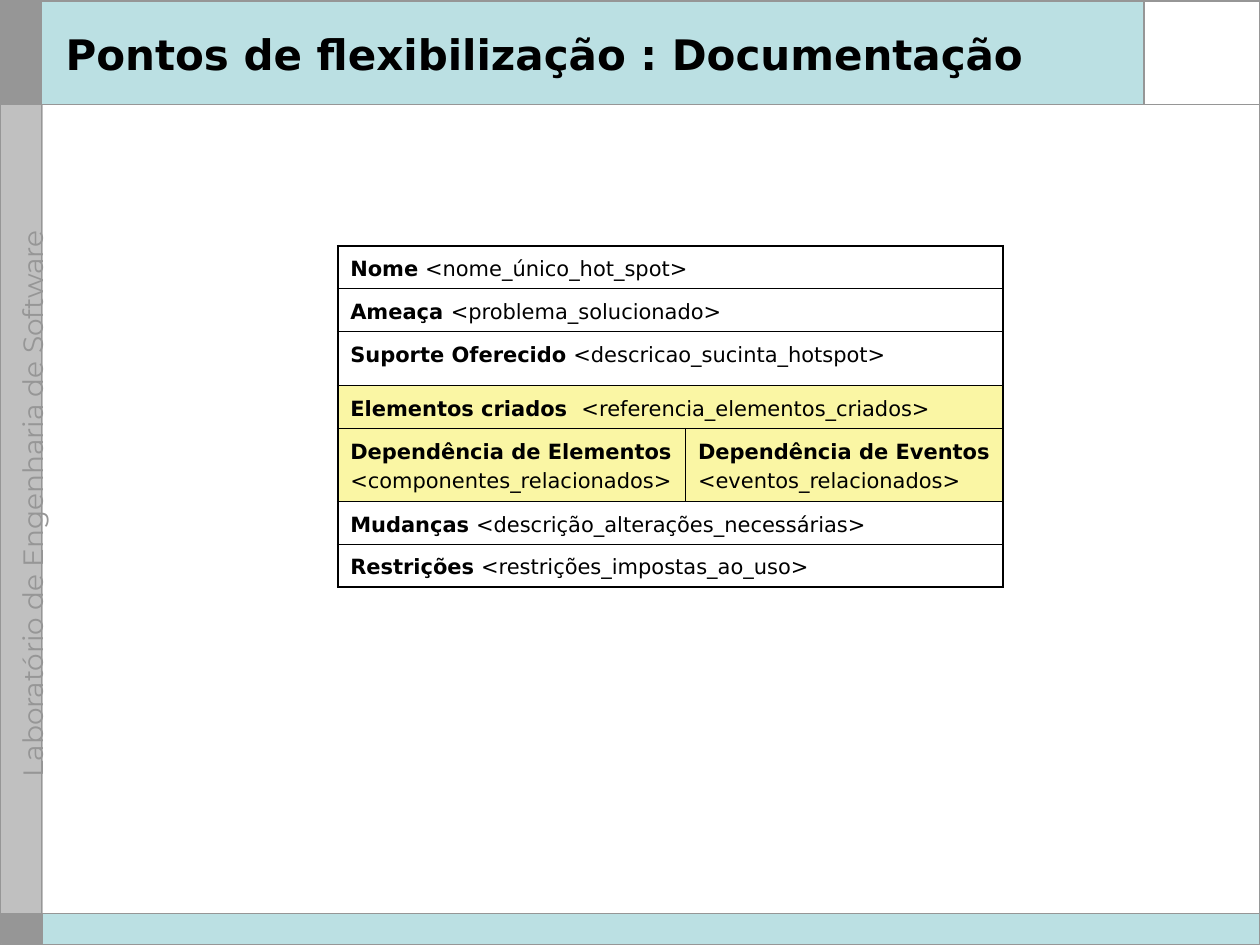
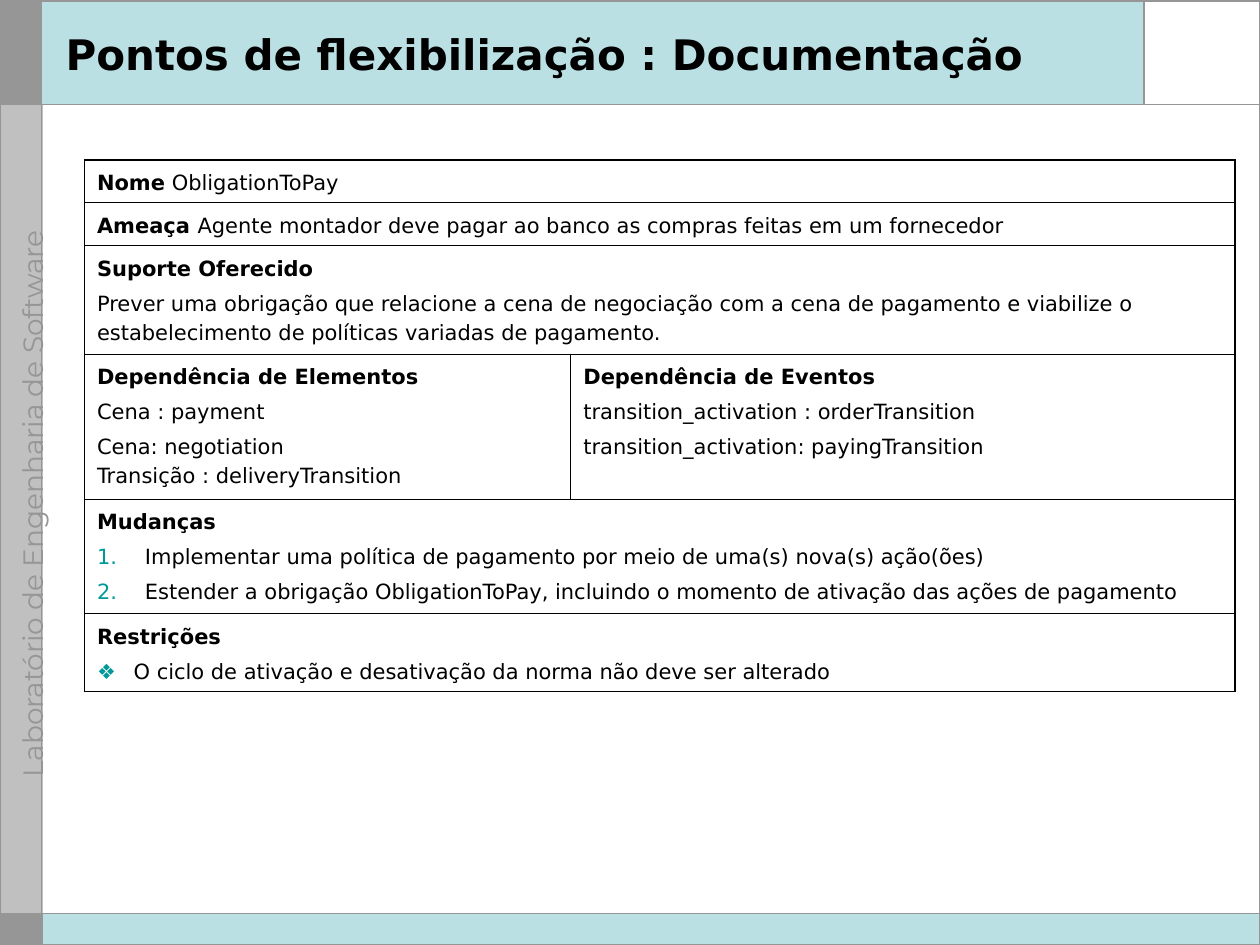
from dataclasses import dataclass

from lxml.etree import SubElement
from pptx import Presentation
from pptx.dml.color import RGBColor
from pptx.enum.shapes import MSO_CONNECTOR, MSO_SHAPE
from pptx.enum.text import MSO_ANCHOR, MSO_AUTO_SIZE, PP_ALIGN
from pptx.oxml.ns import qn
from pptx.util import Inches, Pt

FONT = "DejaVu Sans"
SIDE_FONT = "Montserrat"
BLACK = "000000"
WHITE = "FFFFFF"
GREY = "969696"
LIGHT_GREY = "C0C0C0"
AQUA = "BBE0E3"
TEAL = "009999"
YELLOW = "FAF6A4"

PAGE_WIDTH, PAGE_HEIGHT = 10, 7.5
SIDE_WIDTH = 0.33
HEADER_HEIGHT = 0.83
FOOTER_TOP = 7.25
CORNER_LEFT = 9.08
OUTER, INNER = 1.08, 0.45
NO_STYLE = "{2D5ABB26-0587-4C30-8999-92F81FD0307C}"
TITLE = "Pontos de flexibilização : Documentação"
SIDE_TEXT = "Laboratório de Engenharia de Software"


@dataclass
class Band:
    left: float
    top: float
    width: float
    height: float
    fill: str | None
    line: str | None = None
    weight: float = 0.75


@dataclass
class Rule:
    start: tuple[float, float]
    end: tuple[float, float]


@dataclass
class Para:
    label: str = ""
    text: str = ""
    bullet: str = ""
    indent: float = 0


@dataclass
class Row:
    height: float
    cells: list[list[Para]]
    fill: str | None = None


@dataclass
class Sheet:
    left: float
    top: float
    columns: tuple[float, float]
    rows: list[Row]


BANDS = [
    Band(0.01, 0.01, SIDE_WIDTH, HEADER_HEIGHT, GREY, GREY),
    Band(SIDE_WIDTH, 0, PAGE_WIDTH - SIDE_WIDTH, HEADER_HEIGHT, AQUA),
    Band(0.01, HEADER_HEIGHT, SIDE_WIDTH, FOOTER_TOP - HEADER_HEIGHT, LIGHT_GREY, LIGHT_GREY),
    Band(CORNER_LEFT, 0, PAGE_WIDTH - CORNER_LEFT, HEADER_HEIGHT, WHITE),
    Band(SIDE_WIDTH, FOOTER_TOP, PAGE_WIDTH - SIDE_WIDTH, 0.25, AQUA),
    Band(0.01, FOOTER_TOP, SIDE_WIDTH, 0.24, GREY, GREY),
]
OUTLINE = Band(0, 0.01, PAGE_WIDTH, 7.49, None, GREY, 1)
RULES = [
    Rule((CORNER_LEFT, 0), (CORNER_LEFT, HEADER_HEIGHT)),
    Rule((0, HEADER_HEIGHT), (PAGE_WIDTH, HEADER_HEIGHT)),
    Rule((SIDE_WIDTH, 0), (SIDE_WIDTH, PAGE_HEIGHT)),
    Rule((0, FOOTER_TOP), (PAGE_WIDTH, FOOTER_TOP)),
]

TEMPLATE_SHEET = Sheet(2.68, 1.95, (2.76, 2.52), [
    Row(0.34, [[Para("Nome", " <nome_único_hot_spot>")]]),
    Row(0.34, [[Para("Ameaça ", "<problema_solucionado>")]]),
    Row(0.43, [[Para("Suporte Oferecido", " <descricao_sucinta_hotspot>")]]),
    Row(0.34, [[Para("Elementos criados ", " <referencia_elementos_criados>")]], YELLOW),
    Row(0.58, [
        [Para("Dependência de Elementos ", "<componentes_relacionados>")],
        [Para("Dependência de Eventos ", "<eventos_relacionados>")],
    ], YELLOW),
    Row(0.34, [[Para("Mudanças", " <descrição_alterações_necessárias>")]]),
    Row(0.34, [[Para("Restrições", " <restrições_impostas_ao_uso>")]]),
])

PAYMENT_SHEET = Sheet(0.67, 1.27, (3.86, 5.27), [
    Row(0.34, [[Para("Nome", " ObligationToPay")]]),
    Row(0.34, [[Para("Ameaça ", "Agente montador deve pagar ao banco as compras feitas em um fornecedor")]]),
    Row(0.86, [[
        Para("Suporte Oferecido"),
        Para(text="Prever uma obrigação que relacione a cena de negociação com a cena de pagamento "
                  "e viabilize o estabelecimento de políticas variadas de pagamento."),
    ]]),
    Row(1.15, [
        [
            Para("Dependência de Elementos"),
            Para(text="Cena : payment"),
            Para(text="Cena: negotiation\nTransição : deliveryTransition"),
        ],
        [
            Para("Dependência de Eventos"),
            Para(text="transition_activation : orderTransition"),
            Para(text="transition_activation: payingTransition"),
        ],
    ]),
    Row(0.91, [[
        Para("Mudanças"),
        Para(text="Implementar uma política de pagamento por meio de uma(s) nova(s) ação(ões)",
             bullet="1.", indent=0.38),
        Para(text="Estender a obrigação ObligationToPay, incluindo o momento de ativação "
                  "das ações de pagamento", bullet="1.", indent=0.38),
    ]]),
    Row(0.62, [[
        Para("Restrições"),
        Para(text="O ciclo de ativação e desativação da norma não deve ser alterado",
             bullet="❖", indent=0.29),
    ]]),
])


def colour(value: str) -> RGBColor:
    return RGBColor.from_string(value)


def add_span(para, text: str, size: float, bold: bool = False,
             font: str = FONT, shade: str = BLACK) -> None:
    span = para.add_run()
    span.text = text
    span.font.name = font
    span.font.size = Pt(size)
    span.font.bold = bold
    span.font.color.rgb = colour(shade)


def paint(fill, value: str | None) -> None:
    if value is None:
        fill.background()
    else:
        fill.solid()
        fill.fore_color.rgb = colour(value)


def add_band(page, band: Band) -> None:
    shape = page.shapes.add_shape(
        MSO_SHAPE.RECTANGLE, Inches(band.left), Inches(band.top),
        Inches(band.width), Inches(band.height))
    shape.shadow.inherit = False
    paint(shape.fill, band.fill)
    paint(shape.line.fill, band.line)
    if band.line:
        shape.line.width = Pt(band.weight)


def add_rule(page, rule: Rule) -> None:
    connector = page.shapes.add_connector(
        MSO_CONNECTOR.STRAIGHT, *map(Inches, rule.start), *map(Inches, rule.end))
    connector.line.color.rgb = colour(GREY)
    connector.line.width = Pt(1)
    SubElement(connector._element.spPr, qn("a:effectLst"))


def add_side_text(page) -> None:
    box = page.shapes.add_textbox(Inches(-2.34), Inches(3.91), Inches(5), Inches(0.18))
    box.rotation = 270
    box.text_frame.word_wrap = False
    para = box.text_frame.paragraphs[0]
    para.alignment = PP_ALIGN.CENTER
    add_span(para, SIDE_TEXT, 16, font=SIDE_FONT, shade=GREY)


def move_frame_to_layout(page, layout) -> None:
    for holder in list(layout.placeholders):
        if holder.placeholder_format.idx != 0:
            holder._element.getparent().remove(holder._element)
    for band in BANDS:
        add_band(page, band)
    add_side_text(page)
    for rule in RULES:
        add_rule(page, rule)
    add_band(page, OUTLINE)
    for shape in list(page.shapes):
        if not shape.is_placeholder:
            layout.shapes._spTree.append(shape._element)


def set_title(page) -> None:
    title = page.shapes.title
    title.left, title.top = Inches(0.42), Inches(0.12)
    title.width, title.height = Inches(8.58), Inches(0.62)
    frame = title.text_frame
    frame.auto_size = MSO_AUTO_SIZE.NONE
    frame.vertical_anchor = MSO_ANCHOR.MIDDLE
    para = frame.paragraphs[0]
    para.alignment = PP_ALIGN.LEFT
    add_span(para, TITLE, 24, bold=True)


def add_bullet(para, bullet: str, indent: float) -> None:
    properties = para._p.get_or_add_pPr()
    properties.set("marL", str(Inches(indent)))
    properties.set("indent", str(-Inches(indent)))
    shade = SubElement(properties, qn("a:buClr"))
    SubElement(shade, qn("a:srgbClr"), val=TEAL)
    SubElement(properties, qn("a:buFont"), typeface=FONT)
    if bullet == "1.":
        SubElement(properties, qn("a:buAutoNum"), type="arabicPeriod")
    else:
        SubElement(properties, qn("a:buChar"), char=bullet)


def write_cell(cell, content: list[Para]) -> None:
    frame = cell.text_frame
    for index, item in enumerate(content):
        para = frame.add_paragraph() if index else frame.paragraphs[0]
        para.line_spacing = 1.2
        if index:
            para.space_before = Pt(3)
        if item.bullet:
            add_bullet(para, item.bullet, item.indent)
        if item.label:
            add_span(para, item.label, 12, bold=True)
        for number, line in enumerate(item.text.split("\n") if item.text else []):
            if number:
                para.add_line_break()
            add_span(para, line, 12)


def set_borders(cell, widths: dict[str, float]) -> None:
    properties = cell._tc.get_or_add_tcPr()
    for side, width in widths.items():
        border = SubElement(properties, qn(f"a:ln{side}"), w=str(Pt(width)))
        fill = SubElement(border, qn("a:solidFill"))
        SubElement(fill, qn("a:srgbClr"), val=BLACK)


def add_sheet(page, sheet: Sheet) -> None:
    last = len(sheet.rows) - 1
    graphic = page.shapes.add_table(
        len(sheet.rows), 2, Inches(sheet.left), Inches(sheet.top),
        Inches(sum(sheet.columns)), Inches(sum(row.height for row in sheet.rows)))
    table = graphic.table
    table.first_row = table.horz_banding = False
    table._tbl.tblPr.find(qn("a:tableStyleId")).text = NO_STYLE
    for column, width in zip(table.columns, sheet.columns):
        column.width = Inches(width)
    for index, row in enumerate(sheet.rows):
        table.rows[index].height = Inches(row.height)
        merged = len(row.cells) == 1
        if merged:
            table.cell(index, 0).merge(table.cell(index, 1))
        for number in range(2):
            cell = table.cell(index, number)
            cell.margin_left = cell.margin_right = Inches(0.1)
            cell.margin_top = cell.margin_bottom = Inches(0.05)
            set_borders(cell, {
                "L": OUTER if merged or number == 0 else INNER,
                "R": OUTER if merged or number == 1 else INNER,
                "T": OUTER if index == 0 else INNER,
                "B": OUTER if index == last else INNER,
            })
            paint(cell.fill, row.fill)
        for number, content in enumerate(row.cells):
            write_cell(table.cell(index, number), content)


def main() -> None:
    deck = Presentation()
    deck.slide_width, deck.slide_height = Inches(PAGE_WIDTH), Inches(PAGE_HEIGHT)
    layout = deck.slide_layouts[5]
    for index, sheet in enumerate([TEMPLATE_SHEET, PAYMENT_SHEET]):
        page = deck.slides.add_slide(layout)
        if index == 0:
            move_frame_to_layout(page, layout)
        set_title(page)
        add_sheet(page, sheet)
    deck.save("out.pptx")


if __name__ == "__main__":
    main()
